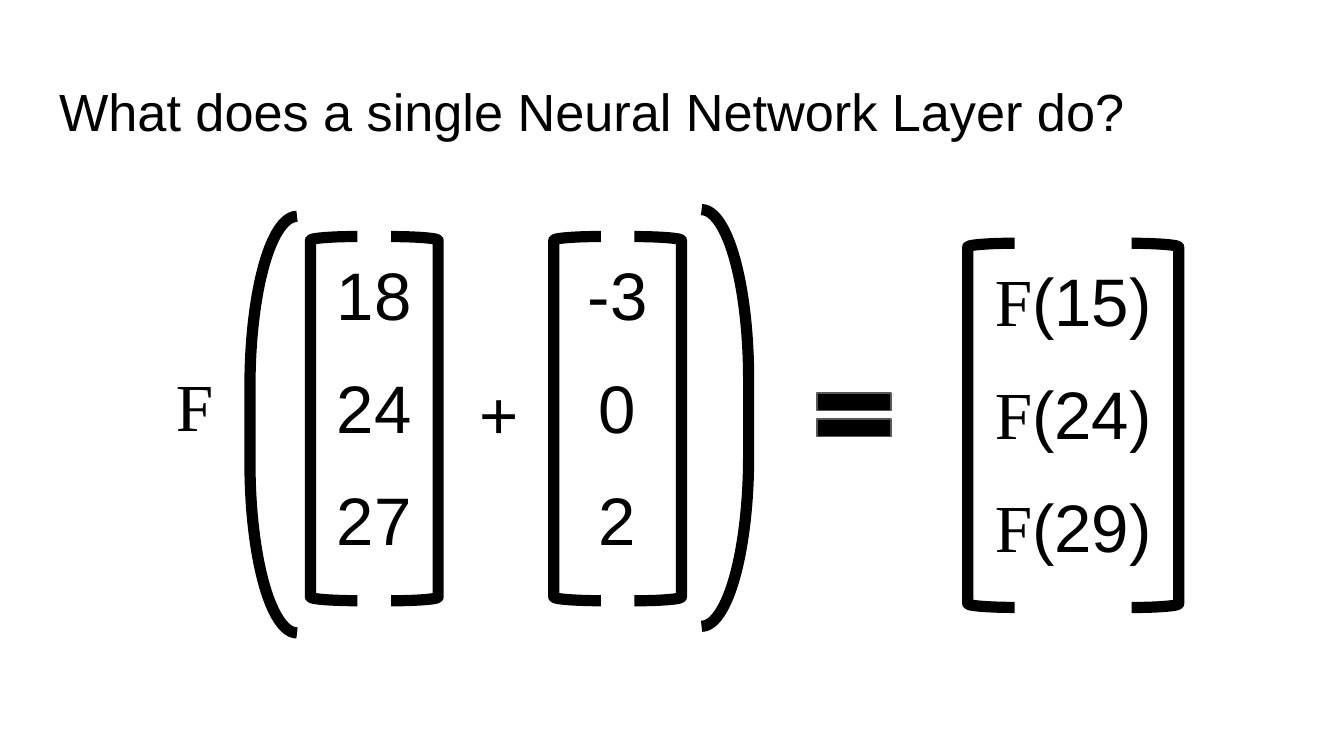
from lxml.etree import SubElement
from pptx import Presentation
from pptx.dml.color import RGBColor
from pptx.enum.shapes import MSO_SHAPE as Shape
from pptx.enum.text import MSO_ANCHOR as Anchor, PP_ALIGN as Align
from pptx.oxml.ns import qn
from pptx.util import Inches, Pt

TITLE = "What does a single Neural Network Layer do?"
F = "F"
# left, top, width, rows; each row is a list of text pieces
VECTORS = [
    (2.31, 1.83, 0.95, [["18"], ["24"], ["27"]]),
    (4.12, 1.83, 0.95, [["-3"], ["0"], ["2"]]),
    (7.2, 1.88, 1.57, [[F, "(15)"], [F, "(24)"], [F, "(29)"]]),
]
# text, left, top, width, height
SYMBOLS = [("+", 3.47, 2.67, 0.65, 0.84), (F, 1.21, 2.61, 0.65, 1.01)]
# left, top, rotation
PARENTHESES = [(1.86, 1.61, 0), (5.22, 1.56, 180)]
EQUALS = (5.98, 2.81, 0.75, 0.55)

ROW_HEIGHT = 0.84
BRACKET_WIDTH, BRACKET_HEIGHT, BRACKET_RISE = 0.35, 2.71, 0.07
PARENTHESIS_HEIGHT = 3.1
SQUARE, ROUND = 0.08, 3.61

THEME = {
    "ink": RGBColor(0, 0, 0),
    "edge": RGBColor(0x59, 0x59, 0x59),
    "border": "FFFFFF",
    "font": "Arial",
    "function_font": "Times New Roman",
    "title": Pt(28),
    "math": Pt(36),
    "stroke": Pt(6),
    "hairline": Pt(0.75),
}


def inches(*values):
    return [Inches(value) for value in values]


def write(frame, pieces, size, align=Align.LEFT):
    frame.margin_left = frame.margin_right = Inches(0.1)
    frame.margin_top = frame.margin_bottom = Inches(0.1)
    frame.vertical_anchor = Anchor.TOP
    para = frame.paragraphs[0]
    para.alignment = align
    for piece in pieces:
        span = para.add_run()
        span.text = piece
        span.font.size = size
        span.font.name = THEME["function_font" if piece == F else "font"]
        span.font.color.rgb = THEME["ink"]


def add_bracket(page, left, top, height, curve, rotation):
    bracket = page.shapes.add_shape(
        Shape.LEFT_BRACKET, *inches(left, top, BRACKET_WIDTH, height))
    bracket.adjustments[0] = curve
    bracket.rotation = rotation
    bracket.shadow.inherit = False
    bracket.fill.background()
    bracket.line.color.rgb = THEME["ink"]
    bracket.line.width = THEME["stroke"]


def outline_cell(cell):
    properties = cell._tc.get_or_add_tcPr()
    for position, side in enumerate(("a:lnL", "a:lnR", "a:lnT", "a:lnB")):
        line = SubElement(properties, qn(side), w=str(THEME["hairline"]))
        fill = SubElement(line, qn("a:solidFill"))
        SubElement(fill, qn("a:srgbClr"), val=THEME["border"])
        properties.insert(position, line)  # borders come before the fill


def add_vector(page, left, top, width, rows):
    """Add a one-column table between two square brackets."""
    table = page.shapes.add_table(
        len(rows), 1, *inches(left, top, width, ROW_HEIGHT * len(rows))).table
    table.first_row = table.horz_banding = False
    for index, pieces in enumerate(rows):
        table.rows[index].height = Inches(ROW_HEIGHT)
        cell = table.cell(index, 0)
        cell.fill.background()
        cell.margin_left = cell.margin_right = Inches(0.1)
        cell.margin_top = cell.margin_bottom = Inches(0.1)
        write(cell.text_frame, pieces, THEME["math"], Align.CENTER)
        outline_cell(cell)
    for x, rotation in ((left, 0), (left + width - BRACKET_WIDTH, 180)):
        add_bracket(page, x, top - BRACKET_RISE, BRACKET_HEIGHT, SQUARE, rotation)


def main():
    deck = Presentation()
    deck.slide_width = Inches(10)
    deck.slide_height = deck.slide_width * 9 // 16
    page = deck.slides.add_slide(deck.slide_layouts[5])

    title = page.shapes.title
    title.left, title.top, title.width, title.height = inches(0.34, 0.49, 9.32, 0.63)
    write(title.text_frame, [TITLE], THEME["title"])

    for vector in VECTORS:
        add_vector(page, *vector)
    for text, *place in SYMBOLS:
        box = page.shapes.add_textbox(*inches(*place))
        box.text_frame.word_wrap = True
        write(box.text_frame, [text], THEME["math"])
    for left, top, rotation in PARENTHESES:
        add_bracket(page, left, top, PARENTHESIS_HEIGHT, ROUND, rotation)

    equals = page.shapes.add_shape(Shape.MATH_EQUAL, *inches(*EQUALS))
    equals.shadow.inherit = False
    equals.fill.solid()
    equals.fill.fore_color.rgb = THEME["ink"]
    equals.line.color.rgb = THEME["edge"]
    equals.line.width = THEME["hairline"]

    deck.save("out.pptx")


if __name__ == "__main__":
    main()
